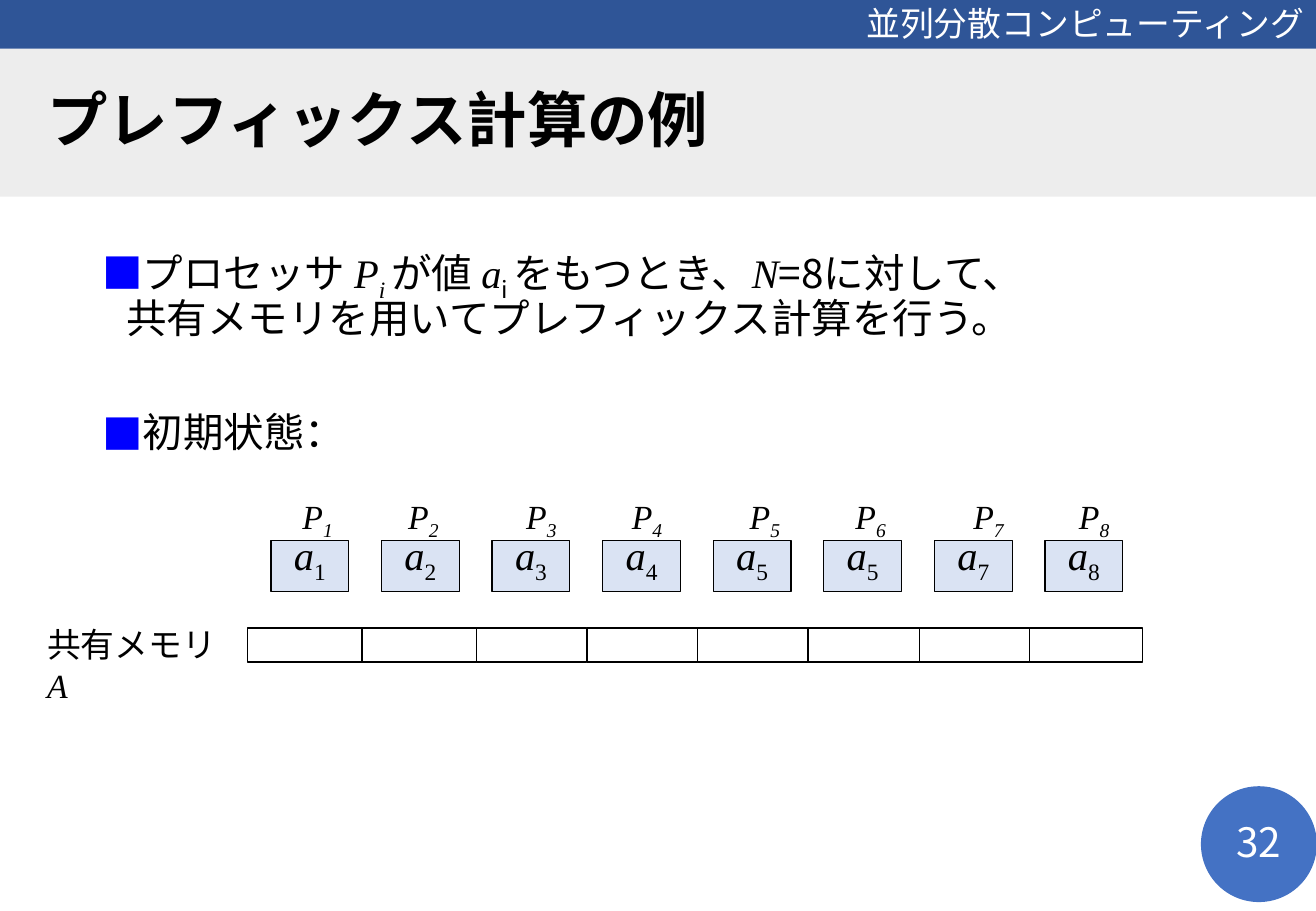
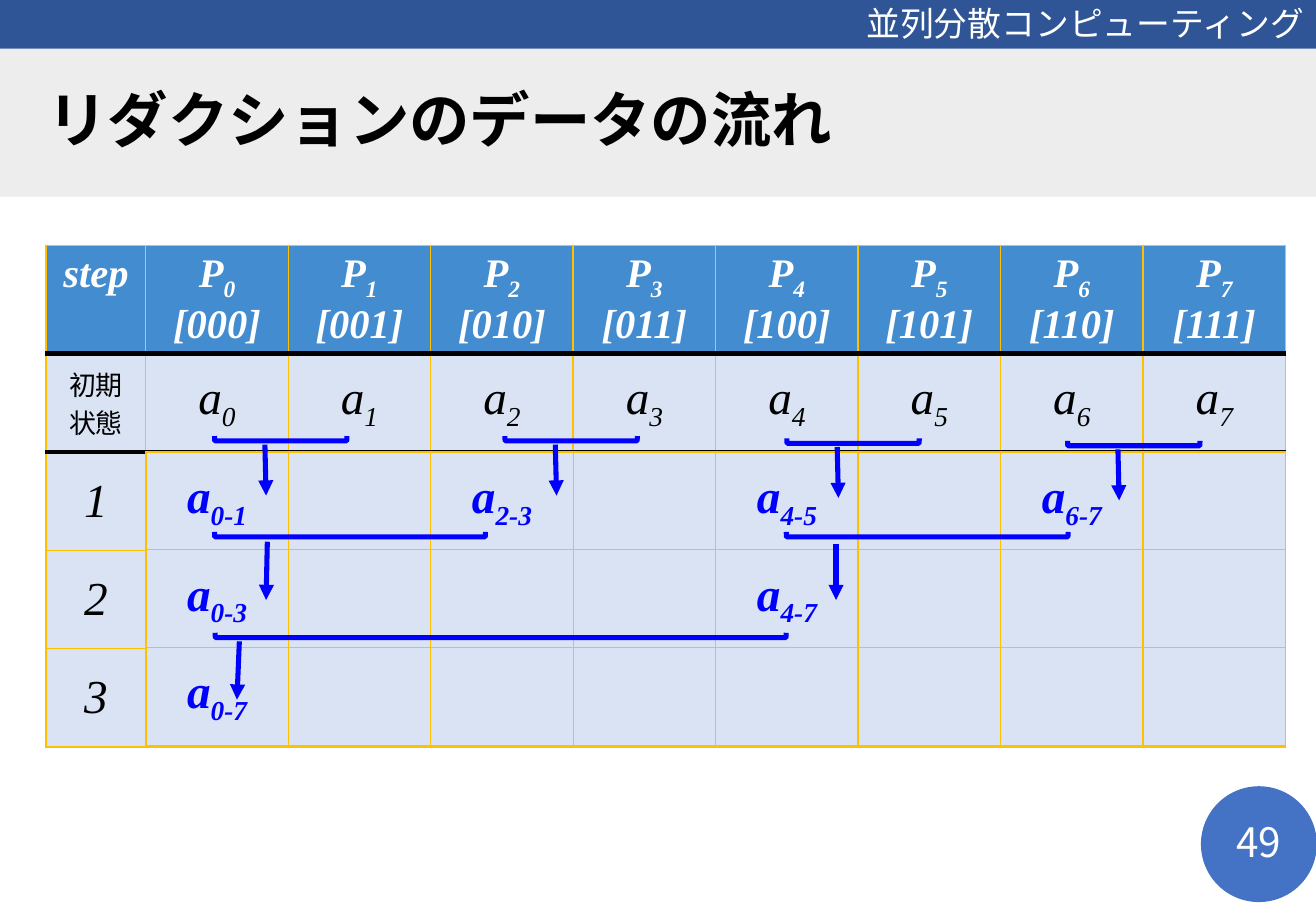
import itertools

import pptx
import pptx.util
from lxml import etree
from pptx.dml.color import RGBColor
from pptx.enum.shapes import MSO_CONNECTOR, MSO_SHAPE
from pptx.enum.text import MSO_ANCHOR, MSO_AUTO_SIZE, PP_ALIGN
from pptx.oxml.ns import qn
from pptx.util import Inches

BLACK = RGBColor(0x00, 0x00, 0x00)
WHITE = RGBColor(0xFF, 0xFF, 0xFF)
BLUE = RGBColor(0x00, 0x00, 0xFF)
NAVY = RGBColor(0x2F, 0x55, 0x97)
CIRCLE = RGBColor(0x44, 0x72, 0xC4)
GREY = RGBColor(0xED, 0xED, 0xED)
PALE = RGBColor(0xDA, 0xE3, 0xF3)
HEADER = RGBColor(0x43, 0x8C, 0xCF)
GOLD = RGBColor(0xFF, 0xC0, 0x00)
TIMES = "Times New Roman"
NOTO = "Noto Sans CJK JP"


def write(p, text, size, color=BLACK, font=TIMES, italic=True, bold=False):
    base, _, sub = text.partition("_")
    for part, baseline in ((base, None), (sub, "-25000")):
        if not part:
            continue
        r = p.add_run()
        r.text = part
        r.font.size = pptx.util.Pt(size)
        r.font.color.rgb = color
        r.font.name = font
        r.font.italic = italic
        r.font.bold = bold
        rPr = r._r.get_or_add_rPr()
        etree.SubElement(rPr, qn("a:ea")).set("typeface", NOTO)
        if baseline:
            rPr.set("baseline", baseline)


def box(s, kind, x, y, w, h, fill=None, line=None, width=0.75):
    sp = s.shapes.add_shape(kind, Inches(x), Inches(y), Inches(w), Inches(h))
    sp.shadow.inherit = False
    if fill is None:
        sp.fill.background()
    else:
        sp.fill.solid()
        sp.fill.fore_color.rgb = fill
    if line is None:
        sp.line.fill.background()
    else:
        sp.line.color.rgb = line
        sp.line.width = pptx.util.Pt(width)
    return sp


prs = pptx.Presentation()
prs.slide_width = Inches(10.83)
prs.slide_height = Inches(7.5)

slides = []
for layout, title, number in (
    (1, "プレフィックス計算の例", "32"),
    (5, "リダクションのデータの流れ", "49"),
):
    s = prs.slides.add_slide(prs.slide_layouts[layout])
    slides.append(s)

    circle = box(s, MSO_SHAPE.OVAL, 9.89, 6.48, 0.94, 0.94, CIRCLE, CIRCLE, 1)
    tf = circle.text_frame
    tf.margin_left = tf.margin_right = tf.margin_top = 0
    tf.margin_bottom = Inches(0.05)
    tf.vertical_anchor = MSO_ANCHOR.MIDDLE
    tf.paragraphs[0].alignment = PP_ALIGN.CENTER
    write(tf.paragraphs[0], number, 24, WHITE, NOTO, False)

    band = box(s, MSO_SHAPE.RECTANGLE, 0, -0.02, 10.83, 0.42, NAVY)
    tf = band.text_frame
    tf.vertical_anchor = MSO_ANCHOR.MIDDLE
    tf.paragraphs[0].alignment = PP_ALIGN.RIGHT
    write(tf.paragraphs[0], "並列分散コンピューティング", 20, WHITE, "Lato", False)

    sp = s.shapes.title
    sp.left, sp.top, sp.width, sp.height = Inches(0), Inches(0.4), Inches(10.83), Inches(1.22)
    sp.fill.solid()
    sp.fill.fore_color.rgb = GREY
    tf = sp.text_frame
    tf.auto_size = MSO_AUTO_SIZE.NONE
    tf.vertical_anchor = MSO_ANCHOR.MIDDLE
    tf.margin_left = Inches(0.39)
    p = tf.paragraphs[0]
    p.alignment = PP_ALIGN.LEFT
    p.line_spacing = 0.9
    write(p, title, 35.8, BLACK, NOTO, False, True)

s = slides[0]
sp = s.placeholders[1]
sp.left, sp.top, sp.width, sp.height = Inches(0.74), Inches(2), Inches(9.34), Inches(4.76)
tf = sp.text_frame
tf.auto_size = MSO_AUTO_SIZE.NONE
for p, before in ((tf.paragraphs[0], 0), (tf.add_paragraph(), 41.5)):
    p.line_spacing = 0.9
    p.space_before = pptx.util.Pt(before)
    pPr = p._p.get_or_add_pPr()
    pPr.set("marL", str(Inches(0.2)))
    pPr.set("indent", str(Inches(-0.2)))
    color = etree.SubElement(pPr, qn("a:buClr"))
    etree.SubElement(color, qn("a:srgbClr")).set("val", str(BLUE))
    etree.SubElement(pPr, qn("a:buFont")).set("typeface", NOTO)
    etree.SubElement(pPr, qn("a:buChar")).set("char", "■")

p = tf.paragraphs[0]
for text, math in (
    ("プロセッサ ", False), ("P_i ", True), ("が値 ", False), ("a", True), ("_i ", False),
    ("をもつとき、", False), ("N", True), ("=8に対して、", False),
):
    write(p, text, 24, font=TIMES if math else NOTO, italic=math)
p.add_line_break()
etree.SubElement(p._p.find(qn("a:br")), qn("a:rPr")).set("sz", "2400")
write(p, "共有メモリを用いてプレフィックス計算を行う。", 24, font=NOTO, italic=False)
write(tf.paragraphs[1], "初期状態：", 24, font=NOTO, italic=False)

tf = s.shapes.add_textbox(Inches(0.29), Inches(5.09), Inches(1.67), Inches(0.44)).text_frame
tf.word_wrap = True
write(tf.paragraphs[0], "共有メモリ ", 20, italic=False)
write(tf.paragraphs[0], "A", 20)

for i, index in enumerate("12345578"):
    x = 2.25 + 1.84 * (i // 2) + 0.87 * (i % 2)
    tf = s.shapes.add_textbox(Inches(x), Inches(4.03), Inches(0.73), Inches(0.44)).text_frame
    tf.word_wrap = True
    tf.paragraphs[0].alignment = PP_ALIGN.CENTER
    write(tf.paragraphs[0], f"P_{i + 1}", 20)

    sp = box(s, MSO_SHAPE.RECTANGLE, 2.23 + 0.91 * i, 4.45, 0.64, 0.42, PALE, BLACK)
    tf = sp.text_frame
    tf.word_wrap = False
    tf.vertical_anchor = MSO_ANCHOR.BOTTOM
    p = tf.paragraphs[0]
    p.alignment = PP_ALIGN.CENTER
    write(p, "a", 24)
    write(p, f"_{index}", 24, italic=False)

memory_edges = [2.04, 2.98, 3.92, 4.83, 5.74, 6.65, 7.57, 8.47, 9.4]
for x, right in itertools.pairwise(memory_edges):
    box(s, MSO_SHAPE.RECTANGLE, x, 5.17, right - x, 0.28, WHITE, BLACK)

s = slides[1]
main_rows = [
    ["step"] + [f"P_{i}\n[{i:03b}]" for i in range(8)],
    ["初期\n状態"] + [f"a_{i}" for i in range(8)],
] + [[step] + [""] * 8 for step in "123"]
tables = [(0.38, 2.02, main_rows)]
for step in (1, 2, 3):
    span = 2 ** step
    sums = [f"a_{i}-{i + span - 1}" if i % span == 0 else "" for i in range(8)]
    tables.append((1.2, 3.72 + 0.805 * (step - 1), [sums]))

for x, y, rows in tables:
    is_main = len(rows) > 1
    widths = [0.82] * is_main + [1.1725] * 8
    heights = [0.87] * is_main + [0.81] * (len(rows) - is_main)
    frame = s.shapes.add_table(len(rows), len(widths), Inches(x), Inches(y),
                               Inches(sum(widths)), Inches(sum(heights)))
    table = frame.table
    table.first_row = table.horz_banding = False
    for column, width in zip(table.columns, widths):
        column.width = Inches(width)
    for row, height in zip(table.rows, heights):
        row.height = Inches(height)
    for (i, row), j in itertools.product(enumerate(rows), range(len(widths))):
        cell = table.cell(i, j)
        is_header = is_main and i == 0
        heavy = {"B": is_main and i < 2, "T": is_main and i in (1, 2)}
        tcPr = cell._tc.get_or_add_tcPr()
        for side in "LRTB":
            color, width = (BLACK, 3) if heavy.get(side) else (GOLD, 1)
            ln = etree.SubElement(tcPr, qn(f"a:ln{side}"), w=str(pptx.util.Pt(width)))
            fill = etree.SubElement(ln, qn("a:solidFill"))
            etree.SubElement(fill, qn("a:srgbClr")).set("val", str(color))
        cell.fill.solid()
        cell.fill.fore_color.rgb = HEADER if is_header else PALE
        cell.vertical_anchor = MSO_ANCHOR.TOP if is_header else MSO_ANCHOR.MIDDLE
        tf = cell.text_frame
        for k, text in enumerate(row[j].split("\n")):
            p = tf.add_paragraph() if k else tf.paragraphs[0]
            p.alignment = PP_ALIGN.CENTER
            if is_header:
                write(p, text, 24, WHITE, bold=True)
            elif not is_main:
                write(p, text, 28, BLUE, bold=True)
            elif i == 1 and j == 0:
                write(p, text, 16, font="Arial", italic=False)
            else:
                write(p, text, 28)

merges = [(cx, cy, 1.09, cx - 0.13, cy + 0.05, cx - 0.12, cy + 0.47)
          for cx, cy in ((2.31, 3.61), (4.7, 3.61), (7.02, 3.63), (9.33, 3.65))]
merges += [
    (2.88, 4.4, 2.23, 2.2, 4.46, 2.19, 4.94),
    (7.63, 4.4, 2.32, 6.88, 4.48, 6.88, 4.94),
    (4.12, 5.23, 4.7, 1.97, 5.28, 1.95, 5.76),
]
for cx, cy, length, x1, y1, x2, y2 in merges:
    arrow = s.shapes.add_connector(MSO_CONNECTOR.STRAIGHT, Inches(x1), Inches(y1),
                                   Inches(x2), Inches(y2))
    arrow.line.color.rgb = BLUE
    arrow.line.width = pptx.util.Pt(3)
    spPr = arrow._element.spPr
    etree.SubElement(spPr.find(qn("a:ln")), qn("a:tailEnd")).set("type", "triangle")
    etree.SubElement(spPr, qn("a:effectLst"))
    bracket = box(s, MSO_SHAPE.RIGHT_BRACKET, cx - 0.02, cy - length / 2, 0.04, length,
                  line=BLUE, width=3)
    bracket.rotation = 90

prs.save("out.pptx")
